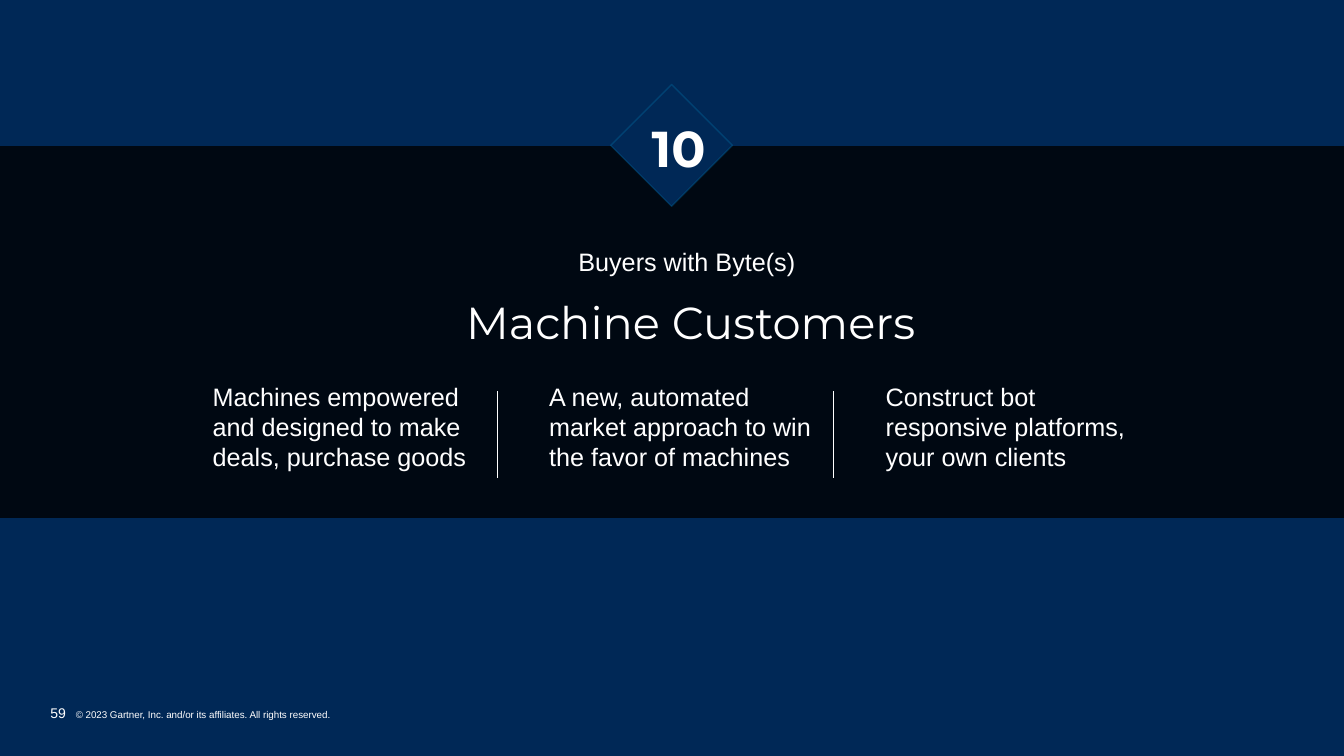
from pptx import Presentation
from pptx.dml.color import RGBColor
from pptx.enum.shapes import MSO_CONNECTOR, MSO_SHAPE
from pptx.enum.text import MSO_ANCHOR as ANCHOR, PP_ALIGN as ALIGN
from pptx.oxml.ns import qn
from pptx.oxml.xmlchemy import OxmlElement
from pptx.util import Cm, Pt

NAVY = RGBColor(0x00, 0x28, 0x56)
BLACK = RGBColor(0x00, 0x00, 0x00)
WHITE = RGBColor(0xFF, 0xFF, 0xFF)
BLUE = RGBColor(0x00, 0x9A, 0xD7)


def add_text(s, box, runs, font="Arial", align=ALIGN.LEFT, anchor=ANCHOR.TOP,
             insets=(0, 0.13, 0.25, 0.13), bold=False):
    """Add a one-paragraph white text box; runs are (text, points) pairs."""
    tf = s.shapes.add_textbox(*map(Cm, box)).text_frame
    tf.word_wrap = True
    tf.vertical_anchor = anchor
    tf.margin_left, tf.margin_top, tf.margin_right, tf.margin_bottom = map(Cm, insets)
    p = tf.paragraphs[0]
    p.alignment = align
    for text, size in runs:
        r = p.add_run()
        r.text = text
        r.font.name = font
        r.font.size = Pt(size)
        r.font.bold = bold
        r.font.color.rgb = WHITE
    return p


def set_opacity(fill_parent, percent):
    alpha = OxmlElement("a:alpha")
    alpha.set("val", str(percent * 1000))
    fill_parent.find(qn("a:solidFill"))[0].append(alpha)


prs = Presentation()
prs.slide_width, prs.slide_height = Cm(33.87), Cm(19.05)
s = prs.slides.add_slide(prs.slide_layouts[6])
s.background.fill.solid()
s.background.fill.fore_color.rgb = NAVY

# Footer with hanging page number
footer = add_text(s, (1.27, 17.75, 20.29, 0.43),
                  [("59", 10),
                   ("\t© 2023 Gartner, Inc. and/or its affiliates. All rights reserved.", 7)],
                  anchor=ANCHOR.BOTTOM, insets=(0, 0, 0, 0))
pPr = footer._p.get_or_add_pPr()
pPr.set("marL", str(Cm(0.64)))
pPr.set("indent", str(-Cm(0.64)))

# Dark band
band = s.shapes.add_shape(MSO_SHAPE.RECTANGLE, 0, Cm(3.68), prs.slide_width, Cm(9.37))
band.shadow.inherit = False
band.fill.solid()
band.fill.fore_color.rgb = BLACK
set_opacity(band._element.spPr, 79)
band.line.fill.background()

# Headings
add_text(s, (9.65, 6.07, 15.57, 1.02), [("Buyers with Byte(s)", 18)], align=ALIGN.CENTER)
title = add_text(s, (1.75, 7.59, 31.32, 1.22), [("Machine Customers", 32)],
                 font="Montserrat", align=ALIGN.CENTER, anchor=ANCHOR.MIDDLE,
                 insets=(0.25, 0.13, 0.25, 0.13))
title.line_spacing = 0.9

# Three columns with dividers between them
columns = [
    "Machines empowered and designed to make deals, purchase goods",
    "A new, automated market approach to win the favor of machines",
    "Construct bot responsive platforms, your own clients",
]
COLUMN_LEFT, COLUMN_STEP, DIVIDER_OFFSET = 5.36, 8.48, 7.17
for i, text in enumerate(columns):
    left = COLUMN_LEFT + i * COLUMN_STEP
    add_text(s, (left, 9.47, 7.19, 2.57), [(text, 18)])
    if i < len(columns) - 1:
        x = Cm(left + DIVIDER_OFFSET)
        divider = s.shapes.add_connector(MSO_CONNECTOR.STRAIGHT, x, Cm(9.86), x, Cm(12.04))
        divider.line.color.rgb = WHITE
        divider.line.width = Pt(1)
        divider._element.spPr.append(OxmlElement("a:effectLst"))

# Number badge
diamond = s.shapes.add_shape(MSO_SHAPE.DIAMOND, Cm(15.39), Cm(2.13), Cm(3.07), Cm(3.07))
diamond.shadow.inherit = False
diamond.fill.solid()
diamond.fill.fore_color.rgb = NAVY
diamond.line.color.rgb = BLUE
diamond.line.width = Pt(1)
set_opacity(diamond._element.spPr.find(qn("a:ln")), 22)
add_text(s, (15.54, 2.82, 2.49, 1.8), [("10", 36)],
         font="Montserrat", align=ALIGN.RIGHT, bold=True)

prs.save("out.pptx")
